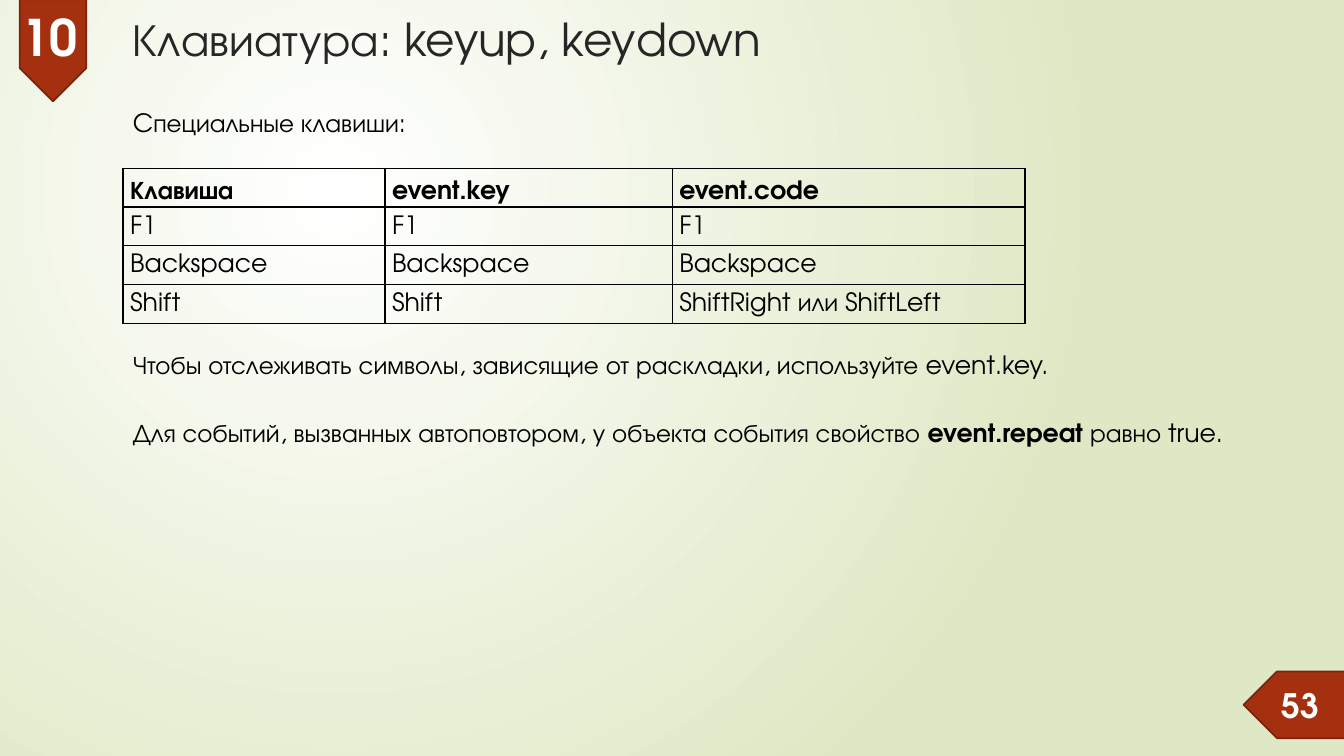
from lxml.etree import SubElement
from pptx import Presentation
from pptx.dml.color import RGBColor
from pptx.enum.shapes import MSO_SHAPE
from pptx.enum.text import MSO_ANCHOR, MSO_AUTO_SIZE, PP_ALIGN
from pptx.oxml.ns import qn
from pptx.util import Cm, Pt

FONT = "TeX Gyre Adventor"
COLORS = {
    "center": "FFFFFF", "edge": "DFE8C4", "title": "262626", "text": "000000",
    "badge": "A53010", "badge_line": "7A240C", "number": "FEFFFF",
}
KEY_ROWS = [
    ("Клавиша", "event.key", "event.code"),
    ("F1", "F1", "F1"),
    ("Backspace", "Backspace", "Backspace"),
    ("Shift", "Shift", "ShiftRight или ShiftLeft"),
]
COLUMN_WIDTHS = (6.6, 7.24, 8.89)
ROW_HEIGHTS = (0.81, 0.71, 0.71, 0.79)
MARGIN = 3.1


def color(name):
    return RGBColor.from_string(COLORS[name])


def add_span(para, text, size=18, shade="text", bold=False):
    span = para.add_run()
    span.text = text
    span.font.name = FONT
    span.font.size = Pt(size)
    span.font.bold = bold
    span.font.color.rgb = color(shade)


def add_text(page, left, top, width, height, spans, **style):
    """Text box with one paragraph; spans are (text, bold) pairs."""
    box = page.shapes.add_textbox(Cm(left), Cm(top), Cm(width), Cm(height))
    box.text_frame.word_wrap = True
    for text, bold in spans:
        add_span(box.text_frame.paragraphs[0], text, bold=bold, **style)
    return box


def paint_background(page):
    fill = page.background.fill
    fill.gradient()
    for stop, shade, position in zip(fill.gradient_stops, ("center", "edge"), (0, 1)):
        stop.color.rgb = color(shade)
        stop.position = position
    # Radial gradient centred in the upper left quarter
    gradient = page.background._cSld.find(".//" + qn("a:gradFill"))
    gradient.remove(gradient.find(qn("a:lin")))
    circle = SubElement(gradient, qn("a:path"), path="circle")
    SubElement(circle, qn("a:fillToRect"), l="50000", t="50000", r="100000", b="100000")


def add_badge(page, left, top, rotation, number, number_top, size):
    badge = page.shapes.add_shape(
        MSO_SHAPE.PENTAGON, Cm(left), Cm(top), Cm(2.57), Cm(1.68))
    badge.rotation = rotation
    badge.shadow.inherit = False
    badge.fill.solid()
    badge.fill.fore_color.rgb = color("badge")
    badge.line.color.rgb = color("badge_line")
    badge.line.width = Pt(1.25)

    box = add_text(page, left, top + number_top, 2.16, 1.02, [(number, True)],
                   size=size, shade="number")
    box.text_frame.vertical_anchor = MSO_ANCHOR.MIDDLE
    box.text_frame.paragraphs[0].alignment = PP_ALIGN.RIGHT


def add_note(page, top, width, *spans):
    box = add_text(page, MARGIN, top, width, 1.02, spans)
    box.text_frame.auto_size = MSO_AUTO_SIZE.SHAPE_TO_FIT_TEXT


def outline_cell(cell):
    properties = cell._tc.get_or_add_tcPr()
    for side in ("lnL", "lnR", "lnT", "lnB"):
        line = SubElement(properties, qn("a:" + side), w=str(Pt(1)))
        solid = SubElement(line, qn("a:solidFill"))
        SubElement(solid, qn("a:srgbClr"), val=COLORS["text"])
    cell.fill.background()


def add_key_table(page, left, top):
    table = page.shapes.add_table(
        len(KEY_ROWS), len(COLUMN_WIDTHS), Cm(left), Cm(top),
        Cm(sum(COLUMN_WIDTHS)), Cm(sum(ROW_HEIGHTS))).table
    table.first_row = table.horz_banding = False
    for column, width in zip(table.columns, COLUMN_WIDTHS):
        column.width = Cm(width)
    for index, (row, height, texts) in enumerate(zip(table.rows, ROW_HEIGHTS, KEY_ROWS)):
        row.height = Cm(height)
        header = index == 0
        for cell, text in zip(row.cells, texts):
            outline_cell(cell)
            cell.margin_left, cell.margin_right = Cm(0.18), Cm(0.56)
            cell.margin_top = cell.margin_bottom = Cm(0.08)
            cell.vertical_anchor = MSO_ANCHOR.BOTTOM if header else MSO_ANCHOR.MIDDLE
            para = cell.text_frame.paragraphs[0]
            para.line_spacing = 1.07
            add_span(para, text, bold=header)


def build_keyboard_page(deck):
    page = deck.slides.add_slide(deck.slide_layouts[6])
    paint_background(page)
    # Title
    add_text(page, MARGIN, 0.15, 29.31, 1.75,
             [("Клавиатура: keyup, keydown", False)], size=32.4, shade="title")
    # Page number and chapter number
    add_badge(page, 31.34, 16.92, 180, "53", 0.33, 24)
    add_badge(page, 0.05, 0.43, 90, "10", -0.02, 36)
    # Special keys and notes
    add_note(page, 2.57, 24.64, ("Cпециальные клавиши:", False))
    add_key_table(page, MARGIN, 4.24)
    add_note(page, 8.69, 29.59,
             ("Чтобы отслеживать символы, зависящие от раскладки, "
              "используйте event.key.", False))
    add_note(page, 10.39, 31.09,
             ("Для событий, вызванных автоповтором, у объекта события свойство ", False),
             ("event.repeat", True), (" равно true.", False))


def main():
    deck = Presentation()
    deck.slide_width, deck.slide_height = Cm(33.87), Cm(19.05)
    build_keyboard_page(deck)
    deck.save("out.pptx")


if __name__ == "__main__":
    main()
